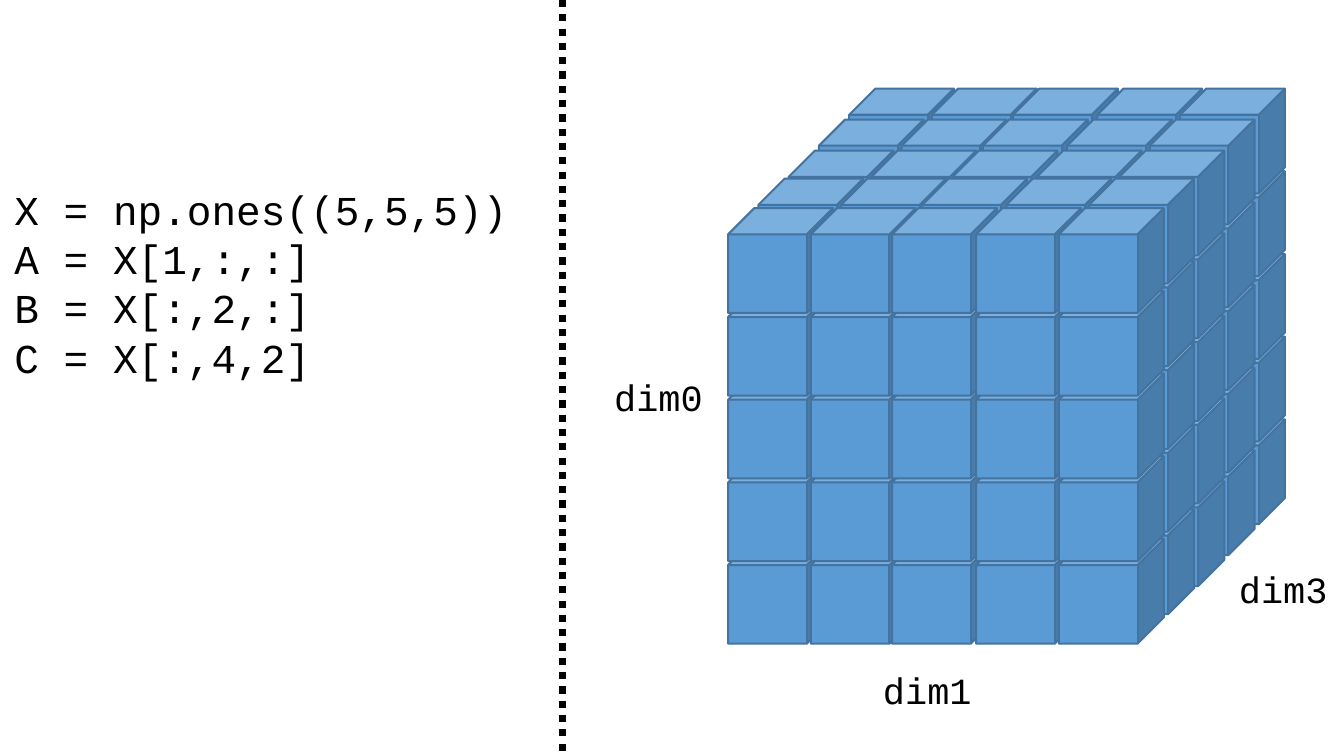
from pptx import Presentation
from pptx.dml.color import RGBColor
from pptx.enum.dml import MSO_LINE
from pptx.enum.shapes import MSO_CONNECTOR, MSO_SHAPE
from pptx.enum.text import MSO_AUTO_SIZE
from pptx.oxml.ns import qn
from pptx.util import Inches, Pt
from lxml import etree

BLACK = RGBColor(0x00, 0x00, 0x00)
CUBE_BLUE = RGBColor(0x5B, 0x9B, 0xD5)
EDGE_BLUE = RGBColor(0x43, 0x73, 0x9E)
CUBE = MSO_SHAPE.CUBE
STRAIGHT = MSO_CONNECTOR.STRAIGHT
DOTTED = MSO_LINE.ROUND_DOT
FIT_SHAPE = MSO_AUTO_SIZE.SHAPE_TO_FIT_TEXT

CODE_FONT = "Courier New"
SLIDE_WIDTH, SLIDE_HEIGHT = 9.1, 5.1
CUBE_SIZE = 0.71
ROW_STEP = 0.56
LAYER_SHIFT = 0.205
COLUMN_OFFSETS = (0, 0.56, 1.11, 1.68, 2.24)
LAYER_DROPS = (0, 0.21, 0.42, 0.61, 0.81)
CODE = """X = np.ones((5,5,5))
A = X[1,:,:]
B = X[:,2,:]
C = X[:,4,2]"""


def add_code_text(slide, text, left, top, width, height, size):
    """Place unwrapped monospaced text in the given box."""
    box = slide.shapes.add_textbox(
        Inches(left), Inches(top), Inches(width), Inches(height))
    frame = box.text_frame
    frame.word_wrap = False
    frame.auto_size = FIT_SHAPE
    frame.text = text
    for paragraph in frame.paragraphs:
        for run in paragraph.runs:
            run.font.name = CODE_FONT
            run.font.size = Pt(size)
            run.font.color.rgb = BLACK


def add_element(slide, left, top):
    """Draw one array element as a small cube."""
    element = slide.shapes.add_shape(
        CUBE, Inches(left), Inches(top), Inches(CUBE_SIZE), Inches(CUBE_SIZE))
    element.shadow.inherit = False
    element.fill.solid()
    element.fill.fore_color.rgb = CUBE_BLUE
    element.line.color.rgb = EDGE_BLUE
    element.line.width = Pt(1)


def add_array(slide, left, top):
    """Stack the array elements from the back layer to the front, bottom row first."""
    count = len(LAYER_DROPS)
    for layer, drop in enumerate(LAYER_DROPS):
        layer_left = left + (count - 1 - layer) * LAYER_SHIFT
        for row in reversed(range(count)):
            for column_offset in COLUMN_OFFSETS:
                add_element(slide, layer_left + column_offset,
                            top + drop + row * ROW_STEP)


def add_array_panel(slide, left, top):
    """Draw the array with a label for each dimension."""
    add_array(slide, left + 1.12, top + 0.6)
    for label, label_left, label_top in (
            ("dim0", 0.25, 2.49), ("dim1", 2.07, 4.47), ("dim3", 4.48, 3.79)):
        add_code_text(slide, label, left + label_left, top + label_top,
                      0.81, 0.4, 18)


def add_divider(slide, x, top, bottom):
    """Draw the dotted line between the code and the array."""
    divider = slide.shapes.add_connector(
        STRAIGHT, Inches(x), Inches(top), Inches(x), Inches(bottom))
    divider.line.color.rgb = BLACK
    divider.line.width = Pt(3.5)
    divider.line.dash_style = DOTTED
    etree.SubElement(divider._element.spPr, qn("a:effectLst"))


def main():
    """Build and save the slide."""
    presentation = Presentation()
    presentation.slide_width = Inches(SLIDE_WIDTH)
    presentation.slide_height = Inches(SLIDE_HEIGHT)
    slide = presentation.slides.add_slide(presentation.slide_layouts[6])
    divider_x = 3.81
    add_array_panel(slide, divider_x, 0)
    add_code_text(slide, CODE, 0, 1.2, 3.57, 1.45, 20)
    add_divider(slide, divider_x, 0, SLIDE_HEIGHT)
    presentation.save("out.pptx")


if __name__ == "__main__":
    main()
